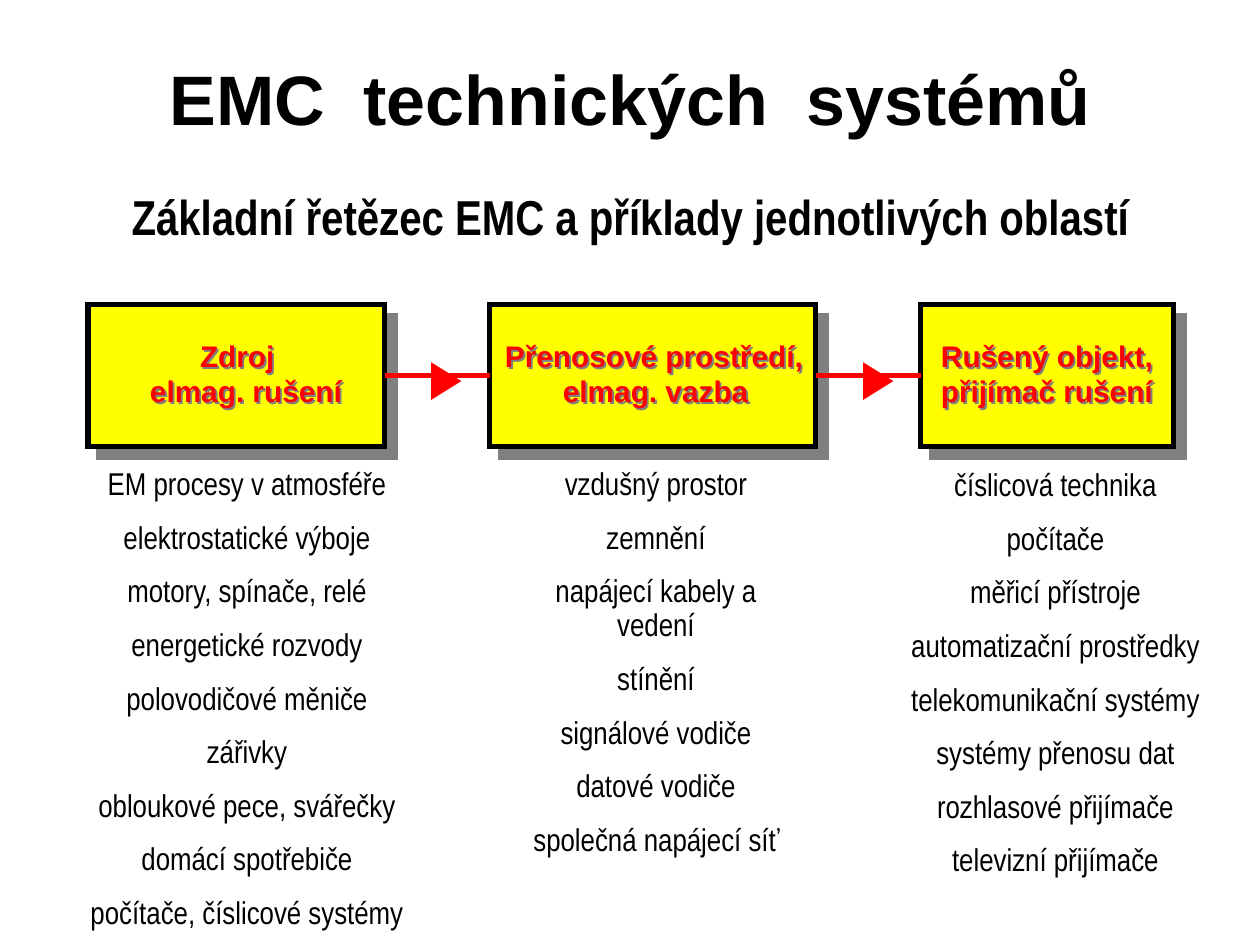
from dataclasses import dataclass

from lxml import etree
from pptx import Presentation
from pptx.dml.color import RGBColor
from pptx.enum.shapes import MSO_CONNECTOR, MSO_SHAPE
from pptx.enum.text import MSO_ANCHOR, MSO_AUTO_SIZE, PP_ALIGN
from pptx.oxml.ns import qn
from pptx.util import Pt

RECTANGLE, STRAIGHT = MSO_SHAPE.RECTANGLE, MSO_CONNECTOR.STRAIGHT
LEFT, CENTER = PP_ALIGN.LEFT, PP_ALIGN.CENTER
TOP, FIT, FIXED = MSO_ANCHOR.TOP, MSO_AUTO_SIZE.SHAPE_TO_FIT_TEXT, MSO_AUTO_SIZE.NONE
LEFT_SIDE, RIGHT_SIDE = 1, 3

EMU_PER_PX = 914400 / 126
COLORS = {"text": "000000", "accent": "FF0000", "block": "FFFF00", "shadow": "808080"}
BLOCK_TOP, BLOCK_HEIGHT = 305, 142
LABEL_TOP, LABEL_HEIGHT = 338, 35
LINE_WIDTH = Pt(2.86)

TITLE_FONT = {"name": "Arial", "size": Pt(40), "bold": True}
SUBTITLE_FONT = {"name": "Arial Narrow", "size": Pt(28), "bold": True}
LIST_FONT = {"name": "Arial Narrow", "size": Pt(18), "bold": False}
LABEL_FONT = {"name": "Arial", "size": Pt(17), "bold": True}
ARROW_FONT = {"name": "Arial", "size": Pt(30), "bold": False}


@dataclass
class Box:
    left: int
    top: int
    width: int
    height: int

    def emu(self) -> list[int]:
        return [px(value) for value in (self.left, self.top, self.width, self.height)]


@dataclass
class Label:
    text: str
    left: int
    width: int


@dataclass
class Stage:
    left: int
    width: int
    labels: list[Label]
    list_box: Box
    examples: list[str]


STAGES = [
    Stage(88, 297, [Label("Zdroj", 200, 80), Label("elmag. rušení", 150, 199)],
          Box(53, 462, 388, 476),
          ["EM procesy v atmosféře", "elektrostatické výboje", "motory, spínače, relé",
           "energetické rozvody", "polovodičové měniče", "zářivky",
           "obloukové pece, svářečky", "domácí spotřebiče", "počítače, číslicové systémy"]),
    Stage(490, 326, [Label("Přenosové prostředí,", 505, 305), Label("elmag. vazba", 563, 191)],
          Box(514, 462, 284, 403),
          ["vzdušný prostor", "zemnění", "napájecí kabely a vedení", "stínění",
           "signálové vodiče", "datové vodiče", "společná napájecí síť"]),
    Stage(921, 253, [Label("Rušený objekt,", 941, 218), Label("přijímač rušení", 941, 218)],
          Box(882, 463, 347, 423),
          ["číslicová technika", "počítače", "měřicí přístroje", "automatizační prostředky",
           "telekomunikační systémy", "systémy přenosu dat", "rozhlasové přijímače",
           "televizní přijímače"]),
]
ARROW_BOXES = [Box(428, 344, 19, 63), Box(860, 344, 19, 63)]


def px(value: int) -> int:
    return round(value * EMU_PER_PX)


def color(name: str) -> RGBColor:
    return RGBColor.from_string(COLORS[name])


def add_shadow(shape, distance: int) -> None:
    """Give a shape a hard grey shadow to the lower right."""
    effects = etree.SubElement(shape._element.spPr, qn("a:effectLst"))
    shadow = etree.SubElement(effects, qn("a:outerShdw"), blurRad="0", dist=str(distance),
                              dir="2700000", algn="tl", rotWithShape="0")
    etree.SubElement(shadow, qn("a:srgbClr"), val=COLORS["shadow"])


def write(frame, lines: list[str], font: dict, color_name: str = "text",
          align=CENTER, list_style: bool = False) -> None:
    frame.vertical_anchor = TOP
    for number, line in enumerate(lines):
        para = frame.paragraphs[0] if number == 0 else frame.add_paragraph()
        para.alignment = align
        para.space_before = Pt(11.2 if number else 0)
        para.line_spacing = 0.9 if list_style else 1.0
        properties = para._p.get_or_add_pPr()
        properties.set("marL", "0")
        properties.set("indent", "0")
        etree.SubElement(properties, qn("a:buNone"))
        span = para.add_run()
        span.text = line
        for name, value in font.items():
            setattr(span.font, name, value)
        span.font.color.rgb = color(color_name)


def fill_placeholder(holder, box: Box, lines: list[str], font: dict,
                     list_style: bool = False) -> None:
    holder.left, holder.top, holder.width, holder.height = box.emu()
    frame = holder.text_frame
    frame.word_wrap, frame.auto_size = True, FIXED
    write(frame, lines, font, list_style=list_style)


def add_block(page, stage: Stage):
    block = page.shapes.add_shape(
        RECTANGLE, *Box(stage.left, BLOCK_TOP, stage.width, BLOCK_HEIGHT).emu())
    block.fill.solid()
    block.fill.fore_color.rgb = color("block")
    block.line.color.rgb = color("text")
    block.line.width = LINE_WIDTH
    etree.SubElement(block.line._get_or_add_ln(), qn("a:miter"), lim="800000")
    add_shadow(block, Pt(8.5))
    return block


def add_text(page, box: Box, text: str, font: dict):
    """Add a red, unwrapped text box without margins."""
    text_box = page.shapes.add_textbox(*box.emu())
    frame = text_box.text_frame
    for side in ("left", "top", "right", "bottom"):
        setattr(frame, f"margin_{side}", 0)
    frame.word_wrap, frame.auto_size = False, FIT
    write(frame, [text], font, "accent", LEFT)
    return text_box


def add_labels(page, labels: list[Label]) -> None:
    for row, label in enumerate(labels):
        box = Box(label.left, LABEL_TOP + row * LABEL_HEIGHT, label.width, LABEL_HEIGHT)
        add_shadow(add_text(page, box, label.text, LABEL_FONT), Pt(1.5))


def add_link(page, source, target) -> None:
    link = page.shapes.add_connector(STRAIGHT, 0, 0, 0, 0)
    link.begin_connect(source, RIGHT_SIDE)
    link.end_connect(target, LEFT_SIDE)
    link.line.color.rgb = color("accent")
    link.line.width = LINE_WIDTH
    etree.SubElement(link._element.spPr, qn("a:effectLst"))


def main() -> None:
    deck = Presentation()
    deck.slide_width, deck.slide_height = px(1260), px(945)
    page = deck.slides.add_slide(deck.slide_layouts.get_by_name("Comparison"))
    holders = {holder.placeholder_format.idx: holder for holder in page.placeholders}

    fill_placeholder(holders[0], Box(150, 49, 960, 97),
                     ["EMC  technických  systémů"], TITLE_FONT)
    fill_placeholder(holders[1], Box(110, 180, 1040, 72),
                     ["Základní řetězec EMC a příklady jednotlivých oblastí"], SUBTITLE_FONT)
    for index, stage in enumerate(STAGES, start=2):
        fill_placeholder(holders[index], stage.list_box, stage.examples,
                         LIST_FONT, list_style=True)

    blocks = [add_block(page, stage) for stage in STAGES]
    for stage in STAGES:
        add_labels(page, stage.labels)
    for source, target, box in zip(blocks, blocks[1:], ARROW_BOXES):
        add_link(page, source, target)
        add_text(page, box, "▶", ARROW_FONT)

    deck.save("out.pptx")


if __name__ == "__main__":
    main()
